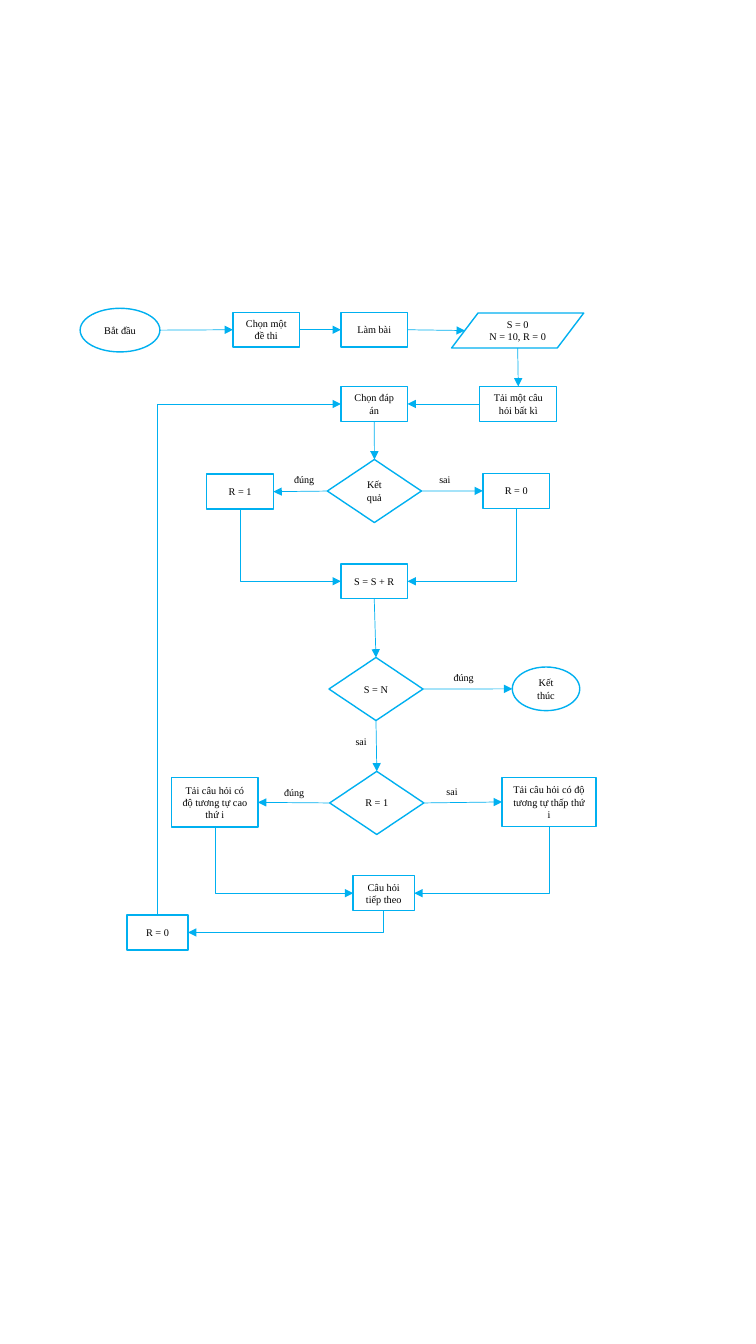
from lxml.etree import SubElement
from pptx import Presentation
from pptx.dml.color import RGBColor
from pptx.enum.shapes import MSO_CONNECTOR, MSO_SHAPE
from pptx.enum.text import MSO_ANCHOR, MSO_AUTO_SIZE, PP_ALIGN
from pptx.oxml.ns import qn
from pptx.util import Cm, Pt

CYAN = RGBColor(0x00, 0xB0, 0xF0)
WHITE = RGBColor(0xFF, 0xFF, 0xFF)
BLACK = RGBColor(0x00, 0x00, 0x00)
TOP, LEFT, BOTTOM, RIGHT = range(4)
RECT = MSO_SHAPE.RECTANGLE
OVAL = MSO_SHAPE.FLOWCHART_CONNECTOR
TEST = MSO_SHAPE.FLOWCHART_DECISION
DATA = MSO_SHAPE.FLOWCHART_DATA


def style(frame, size, align):
    frame.word_wrap = True
    for par in frame.paragraphs:
        par.alignment = align
        par.font.name = "Times New Roman"
        par.font.size = Pt(size)
        par.font.color.rgb = BLACK


def spot(node, side):
    """Return the middle of one side of a node."""
    x, y = node.left + node.width // 2, node.top + node.height // 2
    # The slanted sides of the data shape lie a tenth of its width inward
    inset = node.width // 10 if node.auto_shape_type == DATA else 0
    return {
        TOP: (x, node.top),
        LEFT: (node.left + inset, y),
        BOTTOM: (x, node.top + node.height),
        RIGHT: (node.left + node.width - inset, y),
    }[side]


deck = Presentation()
deck.slide_width, deck.slide_height = Cm(19.05), Cm(33.87)
slide = deck.slides.add_slide(deck.slide_layouts[6])
shapes = slide.shapes

# Nodes: key, kind, left, top, width, height, text
NODES = [
    ("start", OVAL, 2.02, 7.77, 2.01, 1.1, "Bắt đầu"),
    ("exam", RECT, 5.87, 7.87, 1.68, 0.88, "Chọn một đề thi"),
    ("work", RECT, 8.59, 7.87, 1.68, 0.88, "Làm bài"),
    ("init", DATA, 11.38, 7.89, 3.33, 0.88, "S = 0\nN = 10, R = 0"),
    ("load", RECT, 12.09, 9.74, 1.94, 0.88, "Tải một câu hỏi bất kì"),
    ("pick", RECT, 8.59, 9.74, 1.68, 0.88, "Chọn đáp án"),
    ("result", TEST, 8.25, 11.58, 2.37, 1.59, "Kết quả"),
    ("right", RECT, 5.21, 11.95, 1.68, 0.88, "R = 1"),
    ("wrong", RECT, 12.17, 11.93, 1.68, 0.88, "R = 0"),
    ("sum", RECT, 8.59, 14.21, 1.68, 0.88, "S = S + R"),
    ("full", TEST, 8.29, 16.57, 2.37, 1.59, "S = N"),
    ("end", OVAL, 12.91, 16.81, 1.7, 1.1, "Kết thúc"),
    ("check", TEST, 8.31, 19.44, 2.37, 1.59, "R = 1"),
    ("high", RECT, 4.33, 19.6, 2.17, 1.24, "Tải câu hỏi có độ tương tự cao thứ i"),
    ("low", RECT, 12.65, 19.59, 2.37, 1.24, "Tải câu hỏi có độ tương tự thấp thứ i"),
    ("next", RECT, 8.9, 22.07, 1.54, 0.88, "Câu hỏi tiếp theo"),
    ("reset", RECT, 3.2, 23.06, 1.54, 0.88, "R = 0"),
]
nodes = {}
for key, kind, left, top, width, height, text in NODES:
    node = shapes.add_shape(kind, Cm(left), Cm(top), Cm(width), Cm(height))
    node.shadow.inherit = False
    node.fill.solid()
    node.fill.fore_color.rgb = WHITE
    node.line.color.rgb = CYAN
    node.line.width = Pt(1)
    node.text_frame.text = text
    node.text_frame.vertical_anchor = MSO_ANCHOR.MIDDLE
    style(node.text_frame, 7.3, PP_ALIGN.CENTER)
    nodes[key] = node

# Arrows: source, side, target, side
LINKS = [
    ("start", RIGHT, "exam", LEFT),
    ("exam", RIGHT, "work", LEFT),
    ("work", RIGHT, "init", LEFT),
    ("init", BOTTOM, "load", TOP),
    ("load", LEFT, "pick", RIGHT),
    ("pick", BOTTOM, "result", TOP),
    ("result", LEFT, "right", RIGHT),
    ("result", RIGHT, "wrong", LEFT),
    ("right", BOTTOM, "sum", LEFT),
    ("wrong", BOTTOM, "sum", RIGHT),
    ("sum", BOTTOM, "full", TOP),
    ("full", RIGHT, "end", LEFT),
    ("full", BOTTOM, "check", TOP),
    ("check", LEFT, "high", RIGHT),
    ("check", RIGHT, "low", LEFT),
    ("high", BOTTOM, "next", LEFT),
    ("low", BOTTOM, "next", RIGHT),
    ("next", BOTTOM, "reset", RIGHT),
    ("reset", TOP, "pick", LEFT),
]
for source, side, target, goal in LINKS:
    first, last = nodes[source], nodes[target]
    (x1, y1), (x2, y2) = spot(first, side), spot(last, goal)
    bent = side in (TOP, BOTTOM) and goal in (LEFT, RIGHT)
    kind = MSO_CONNECTOR.ELBOW if bent else MSO_CONNECTOR.STRAIGHT
    link = shapes.add_connector(kind, x1, y1, x2, y2)
    if first.auto_shape_type in (RECT, TEST):
        link.begin_connect(first, side)
    if last.auto_shape_type in (RECT, TEST):
        link.end_connect(last, goal)
    link.line.color.rgb = CYAN
    link.line.width = Pt(0.5)
    props = link.element.spPr
    SubElement(props.find(qn("a:ln")), qn("a:tailEnd"), type="triangle")
    SubElement(props, qn("a:effectLst"))
    if bent:
        # One corner, vertical leg first: a quarter turn about the centre
        props.find(qn("a:prstGeom")).set("prst", "bentConnector2")
        wide, tall = abs(x2 - x1), abs(y2 - y1)
        link.left, link.top = (x1 + x2 - tall) // 2, (y1 + y2 - wide) // 2
        link.width, link.height = tall, wide
        frame = props.find(qn("a:xfrm"))
        frame.set("rot", str(270 * 60000))
        frame.set("flipH", str(int(y2 > y1)))
        frame.set("flipV", str(int(x2 < x1)))

# Branch labels
LABELS = [
    ("đúng", 7.16, 11.81),
    ("sai", 10.82, 11.81),
    ("đúng", 11.18, 16.79),
    ("sai", 8.71, 18.42),
    ("đúng", 6.91, 19.69),
    ("sai", 11, 19.66),
]
for text, left, top in LABELS:
    label = shapes.add_textbox(Cm(left), Cm(top), Cm(1.04), Cm(0.56))
    label.text_frame.text = text
    label.text_frame.auto_size = MSO_AUTO_SIZE.SHAPE_TO_FIT_TEXT
    style(label.text_frame, 7.2, PP_ALIGN.LEFT)

deck.save("out.pptx")
